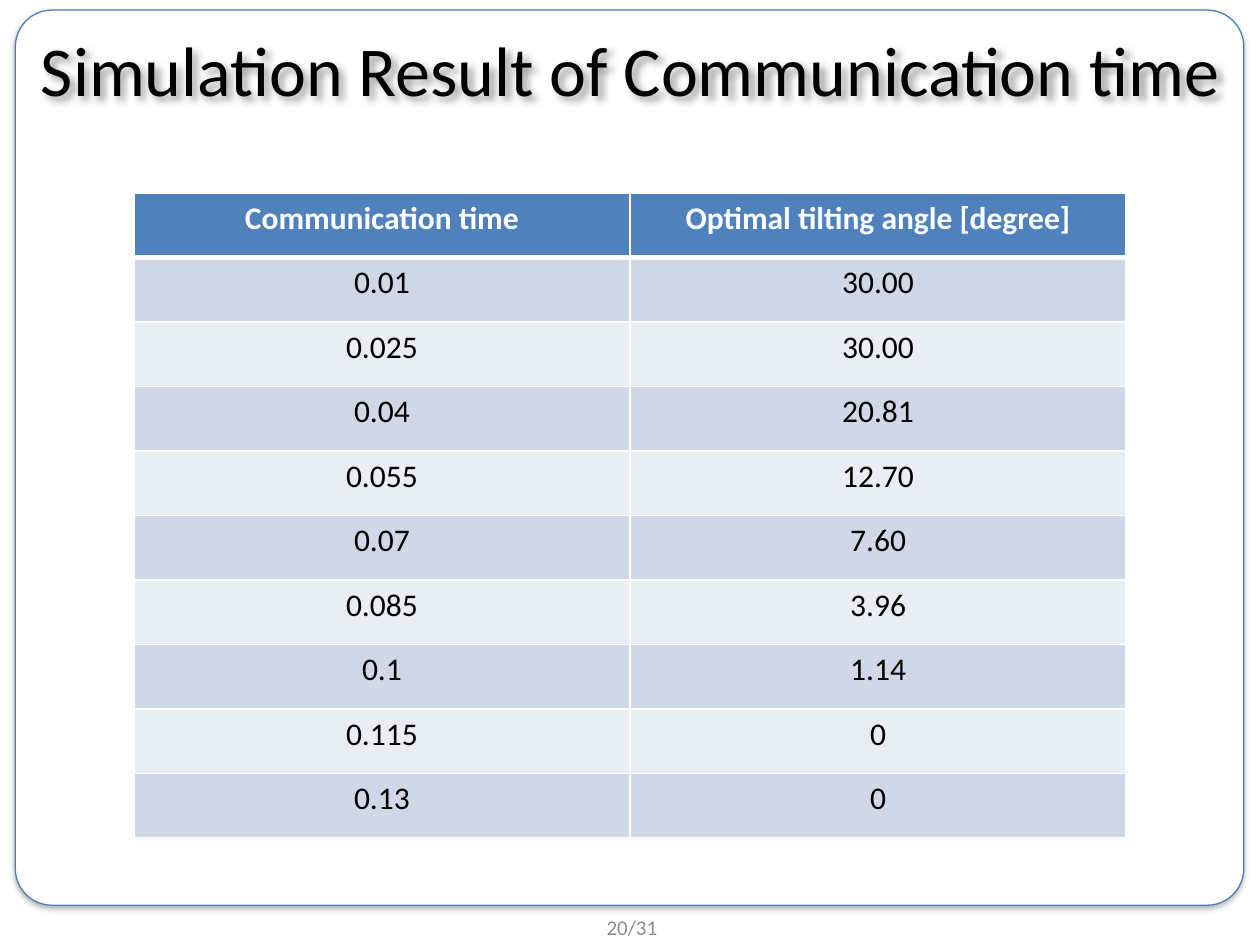
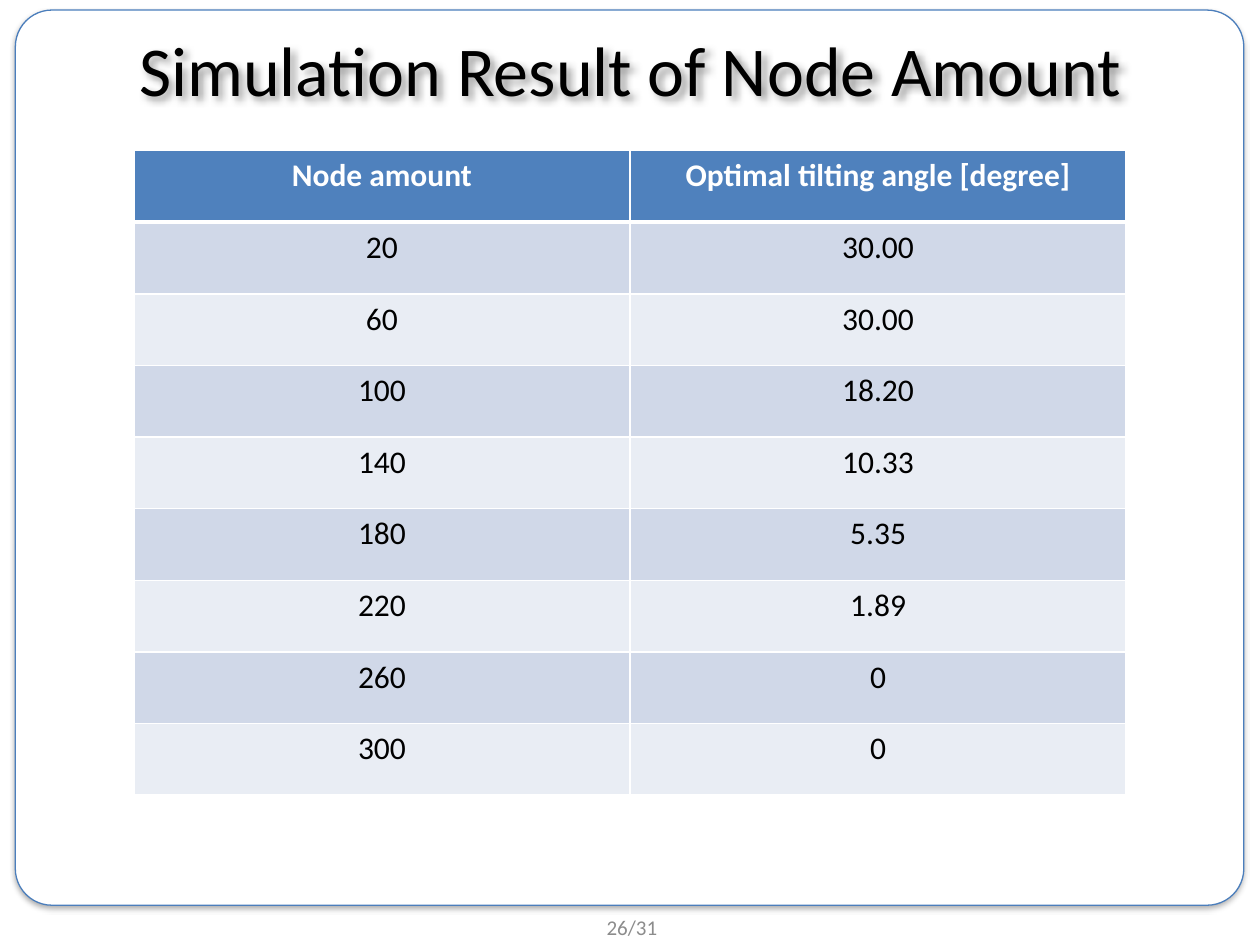
import pptx
import pptx.dml.color
import pptx.enum.shapes
import pptx.enum.text
import pptx.oxml
import pptx.oxml.ns
import pptx.util

Pt = pptx.util.Pt
ALIGN = pptx.enum.text.PP_ALIGN
ANCHOR = pptx.enum.text.MSO_ANCHOR

ANGLE = "Optimal tilting angle [degree]"
SLIDES = [
    {
        "title": "Simulation Result of Communication time",
        "page": "20/31",
        "top": 110.2,
        "rows": [
            ("Communication time", ANGLE),
            ("0.01", "30.00"),
            ("0.025", "30.00"),
            ("0.04", "20.81"),
            ("0.055", "12.70"),
            ("0.07", "7.60"),
            ("0.085", "3.96"),
            ("0.1", "1.14"),
            ("0.115", "0"),
            ("0.13", "0"),
        ],
    },
    {
        "title": "Simulation Result of Node Amount",
        "page": "26/31",
        "top": 86,
        "rows": [
            ("Node amount", ANGLE),
            ("20", "30.00"),
            ("60", "30.00"),
            ("100", "18.20"),
            ("140", "10.33"),
            ("180", "5.35"),
            ("220", "1.89"),
            ("260", "0"),
            ("300", "0"),
        ],
    },
]

COLORS = {
    "white": "FFFFFF",
    "black": "000000",
    "frame": "4B7EBC",
    "page": "8C8C8C",
    "header": "4F81BD",
    "odd": "D0D8E8",
    "even": "E9EDF4",
}
FONT = "Calibri"
SLIDE_W, SLIDE_H = 720, 540
FRAME = (8.75, 5.75, 702, 511.5)
TITLE = (9.4, 0, 701.3, 77.8)
PAGE = (277.2, 519.1, 167.8, 20.9)
TABLE_LEFT, TABLE_W, TABLE_H = 76.5, 567, 368.6


def rgb(name):
    return pptx.dml.color.RGBColor.from_string(COLORS[name])


def write(tf, text, size, color, bold=False):
    p = tf.paragraphs[0]
    p.alignment = ALIGN.CENTER
    r = p.add_run()
    r.text = text
    r.font.name = FONT
    r.font.size = Pt(size)
    r.font.bold = bold
    r.font.color.rgb = rgb(color)


def add_shadow(sp, blur, dist, angle, alpha):
    sp.shadow.inherit = False
    effects = sp._element.spPr.find(pptx.oxml.ns.qn("a:effectLst"))
    effects.append(pptx.oxml.parse_xml(
        f'<a:outerShdw {pptx.oxml.ns.nsdecls("a")} blurRad="{Pt(blur)}" '
        f'dist="{Pt(dist)}" dir="{angle * 60000}" algn="tl" rotWithShape="0">'
        f'<a:srgbClr val="{COLORS["black"]}"><a:alpha val="{alpha * 1000}"/>'
        '</a:srgbClr></a:outerShdw>'))


def add_frame(slide):
    sp = slide.shapes.add_shape(
        pptx.enum.shapes.MSO_SHAPE.ROUNDED_RECTANGLE, *map(Pt, FRAME))
    sp.adjustments[0] = 0.041
    sp.fill.solid()
    sp.fill.fore_color.rgb = rgb("white")
    sp.line.color.rgb = rgb("frame")
    sp.line.width = Pt(0.75)
    add_shadow(sp, 3.1, 1.8, 90, 35)
    slide.shapes._spTree.insert(2, sp._element)  # behind the title


def set_title(slide, text):
    sp = slide.shapes.title
    sp.left, sp.top, sp.width, sp.height = map(Pt, TITLE)
    tf = sp.text_frame
    tf.auto_size = pptx.enum.text.MSO_AUTO_SIZE.NONE
    tf.vertical_anchor = ANCHOR.MIDDLE
    write(tf, text, 40, "black")
    add_shadow(sp, 4, 3, 45, 40)


def add_page_number(slide, text):
    tf = slide.shapes.add_textbox(*map(Pt, PAGE)).text_frame
    tf.word_wrap = True
    tf.vertical_anchor = ANCHOR.MIDDLE
    write(tf, text, 12, "page")


def set_borders(cell, bottom):
    """Draw white cell edges, 1 pt wide except at the given top and bottom."""
    tcPr = cell._tc.get_or_add_tcPr()
    widths = {"lnL": 1, "lnR": 1, "lnT": 1, "lnB": bottom}
    for i, (side, width) in enumerate(widths.items()):
        tcPr.insert(i, pptx.oxml.parse_xml(
            f'<a:{side} {pptx.oxml.ns.nsdecls("a")} w="{Pt(width)}">'
            f'<a:solidFill><a:srgbClr val="{COLORS["white"]}"/></a:solidFill>'
            f'</a:{side}>'))


def add_result_table(slide, rows, top):
    n_cols = len(rows[0])
    table = slide.shapes.add_table(
        len(rows), n_cols, Pt(TABLE_LEFT), Pt(top), Pt(TABLE_W), Pt(TABLE_H)).table
    for col in table.columns:
        col.width = Pt(TABLE_W / n_cols)
    for i, row in enumerate(rows):
        table.rows[i].height = Pt(TABLE_H / len(rows))
        header = i == 0
        fill = "header" if header else "odd" if i % 2 else "even"
        for j, text in enumerate(row):
            cell = table.cell(i, j)
            cell.fill.solid()
            cell.fill.fore_color.rgb = rgb(fill)
            write(cell.text_frame, text, 18, "white" if header else "black", header)
            if header:
                set_borders(cell, bottom=3)


def main():
    prs = pptx.Presentation()
    prs.slide_width, prs.slide_height = Pt(SLIDE_W), Pt(SLIDE_H)
    for content in SLIDES:
        slide = prs.slides.add_slide(prs.slide_layouts[5])
        add_frame(slide)
        add_page_number(slide, content["page"])
        set_title(slide, content["title"])
        add_result_table(slide, content["rows"], content["top"])
    prs.save("out.pptx")


if __name__ == "__main__":
    main()
